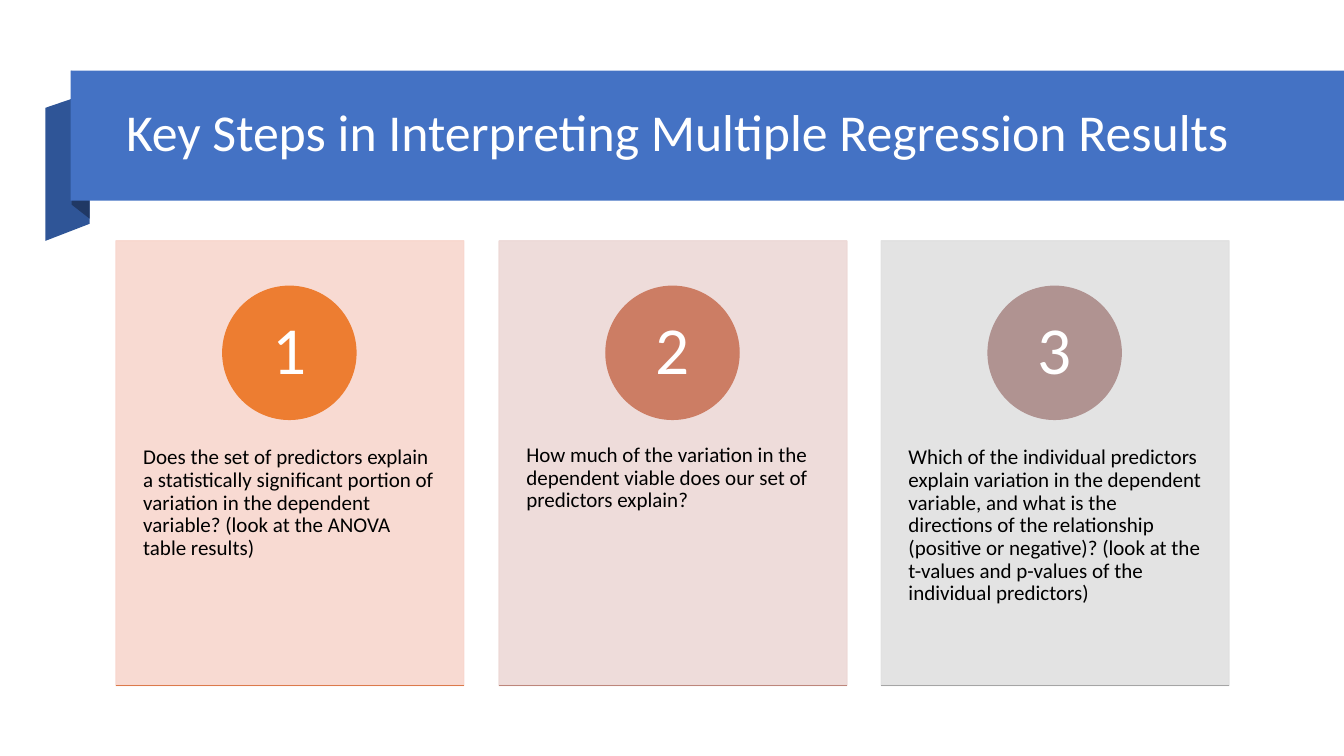
from lxml.etree import SubElement
from pptx import Presentation
from pptx.dml.color import RGBColor
from pptx.enum.shapes import MSO_CONNECTOR, MSO_SHAPE
from pptx.enum.text import MSO_ANCHOR, PP_ALIGN
from pptx.oxml.ns import qn
from pptx.util import Emu, Pt

PX = 9144  # 100 px to the inch
SLIDE_WIDTH, SLIDE_HEIGHT = 1333, 750
FONT = "Calibri"
TITLE = "Key Steps in Interpreting Multiple Regression Results"

# Question, card colour, badge colour, base line colour
STEPS = [
    ("Does the set of predictors explain a statistically significant portion of "
     "variation in the dependent variable? (look at the ANOVA table results)",
     "F8D7CE", "ED7D31", "DC7A4B"),
    ("How much of the variation in the dependent viable does our set of "
     "predictors explain?",
     "EDD9D7", "CC7D64", "BD867B"),
    ("Which of the individual predictors explain variation in the dependent "
     "variable, and what is the directions of the relationship (positive or "
     "negative)? (look at the t-values and p-values of the individual predictors)",
     "E1E1E1", "B09391", "A5A5A5"),
]


def px(*lengths):
    return [Emu(length * PX) for length in lengths]


def rgb(hex_colour):
    return RGBColor.from_string(hex_colour)


def paint(shape, colour, outlined=False, opacity=None):
    shape.shadow.inherit = False
    shape.fill.solid()
    shape.fill.fore_color.rgb = rgb(colour)
    if outlined:
        shape.line.color.rgb = rgb(colour)
        shape.line.width = Pt(1)
    else:
        shape.line.fill.background()
    if opacity:
        for tint in shape.element.spPr.iter(qn("a:srgbClr")):
            SubElement(tint, qn("a:alpha"), val=str(opacity * 1000))


def write(frame, text, size, colour, align=PP_ALIGN.LEFT, anchor=MSO_ANCHOR.TOP):
    frame.word_wrap = True
    frame.vertical_anchor = anchor
    frame.text = text
    paragraph = frame.paragraphs[0]
    paragraph.alignment = align
    paragraph.line_spacing = 0.9
    paragraph.font.name = FONT
    paragraph.font.size = Pt(size)
    paragraph.font.color.rgb = rgb(colour)


def set_insets(frame, side, end):
    frame.margin_left, frame.margin_right = px(side, side)
    frame.margin_top, frame.margin_bottom = px(end, end)


def add_fold(shapes, corners, colour):
    outline = shapes.build_freeform(*corners[0], scale=PX)
    outline.add_line_segments(corners[1:], close=True)
    paint(outline.convert_to_shape(), colour)


def add_title_ribbon(slide, left, top, width, height):
    shapes = slide.shapes
    # Folded tail behind the band
    tail_left, fold_right = left - 25, left + 19
    add_fold(shapes, [(fold_right, top + 152), (tail_left, top + 169),
                      (tail_left, top + 37), (fold_right, top + 22)], "2F5597")
    add_fold(shapes, [(fold_right, top + 147), (left + 1, top + 133),
                      (left + 1, top), (fold_right, top + 15)], "203864")
    # Band
    band = shapes.add_shape(MSO_SHAPE.RECTANGLE, *px(left, top, width, height))
    paint(band, "4472C4")
    # Title, brought in front of the band
    title = shapes.title
    title.left, title.top, title.width, title.height = px(
        left + 45, top + 16, 1127, height - 33)
    write(title.text_frame, TITLE, 37, "FFFFFF", anchor=MSO_ANCHOR.MIDDLE)
    title.element.getparent().append(title.element)


def add_step_card(shapes, number, step, left, top, width, height):
    question, card_colour, badge_colour, base_colour = step
    # Card and question
    card = shapes.add_shape(MSO_SHAPE.RECTANGLE, *px(left, top, width, height))
    paint(card, card_colour, outlined=True, opacity=90)
    question_box = shapes.add_textbox(*px(left, top + 168, width, 265))
    set_insets(question_box.text_frame, 27, 36)
    write(question_box.text_frame, question, 15, "000000")
    # Numbered badge
    badge_size, number_size = 132, 94
    badge_left, badge_top = left + (width - badge_size) // 2, top + 45
    badge = shapes.add_shape(
        MSO_SHAPE.OVAL, *px(badge_left, badge_top, badge_size, badge_size))
    paint(badge, badge_colour, outlined=True)
    inset = (badge_size - number_size) // 2
    number_box = shapes.add_textbox(
        *px(badge_left + inset, badge_top + inset, number_size, number_size))
    set_insets(number_box.text_frame, 10, 1)
    write(number_box.text_frame, str(number), 48, "FFFFFF",
          PP_ALIGN.CENTER, MSO_ANCHOR.MIDDLE)
    # Base line
    bottom = top + height
    base = shapes.add_connector(
        MSO_CONNECTOR.STRAIGHT, *px(left, bottom, left + width, bottom))
    base.line.color.rgb = rgb(base_colour)
    base.line.width = Pt(1)
    SubElement(base.element.spPr, qn("a:effectLst"))


def add_step_cards(slide, left, top, width, height):
    cards = slide.shapes.add_group_shape().shapes
    card_width = 345
    pitch = (width - card_width) / (len(STEPS) - 1)
    for index, step in enumerate(STEPS):
        add_step_card(cards, index + 1, step,
                      left + round(index * pitch), top, card_width, height)


def main():
    deck = Presentation()
    deck.slide_width, deck.slide_height = px(SLIDE_WIDTH, SLIDE_HEIGHT)
    slide = deck.slides.add_slide(deck.slide_layouts.get_by_name("Title Only"))
    add_title_ribbon(slide, 70, 70, SLIDE_WIDTH - 70, 129)
    add_step_cards(slide, 115, 239, 1104, 441)
    deck.save("out.pptx")


if __name__ == "__main__":
    main()
